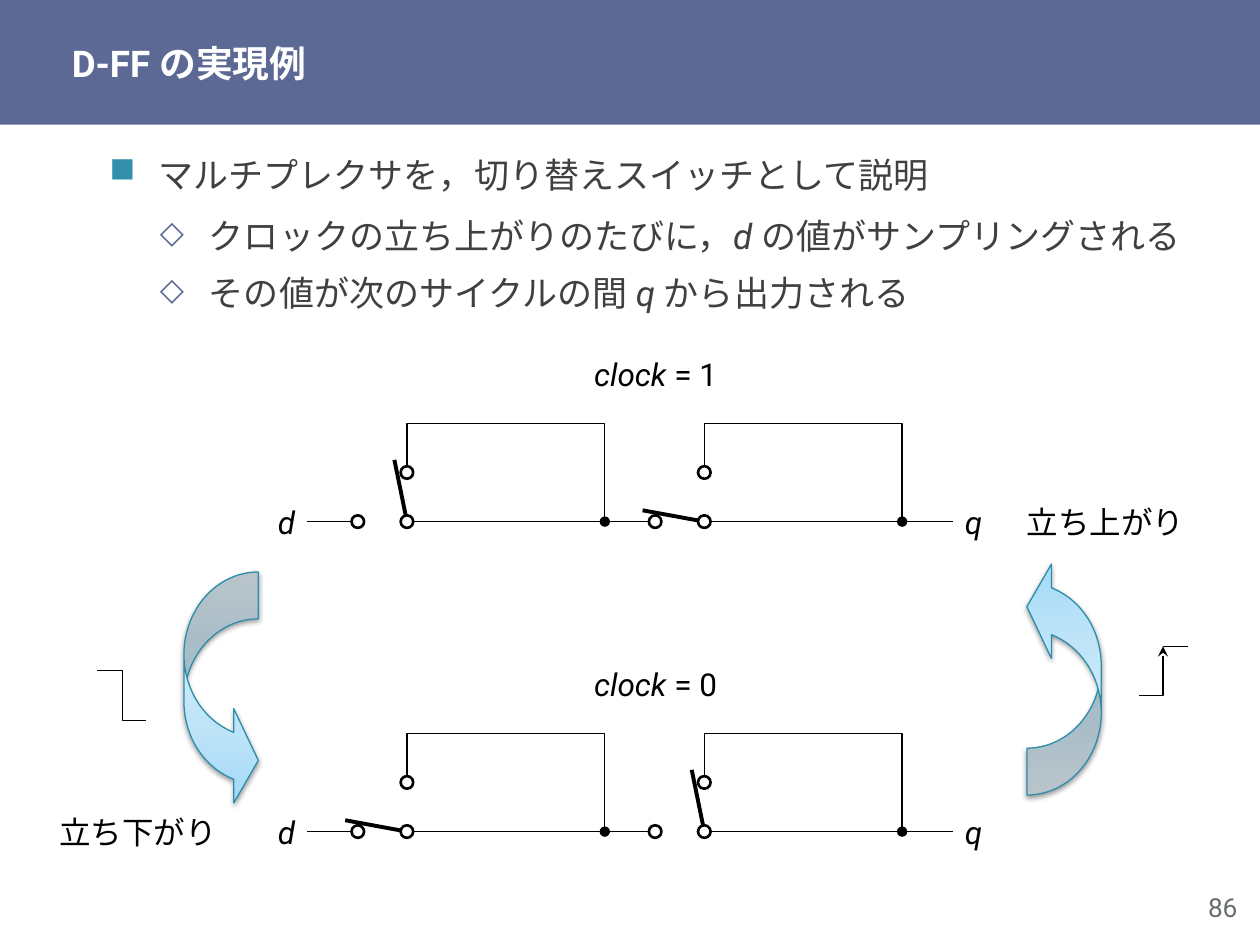
"""Build the slide on a D flip-flop drawn with changeover switches."""
from dataclasses import dataclass

from lxml import etree
from pptx import Presentation
from pptx.dml.color import RGBColor
from pptx.enum.lang import MSO_LANGUAGE_ID as Language
from pptx.enum.shapes import MSO_CONNECTOR as Connector, MSO_SHAPE as Shape
from pptx.enum.text import MSO_ANCHOR as Anchor, MSO_AUTO_SIZE as AutoSize, PP_ALIGN as Align
from pptx.oxml import parse_xml
from pptx.oxml.ns import nsdecls, qn
from pptx.util import Inches, Pt


@dataclass(frozen=True)
class Theme:
    font: str = "Roboto"
    header: str = "5C6994"
    white: str = "FFFFFF"
    black: str = "000000"
    body: str = "404040"
    number: str = "686D6D"
    square: str = "328FAC"
    arrow_line: str = "2E8DAB"
    arrow_stops: tuple = ((0, "A2D9F7"), (35, "BFE4F8"), (100, "E6F5FD"))
    title_size: float = 21
    body_size: float = 20
    label_size: float = 18
    number_size: float = 15
    thin: float = 0.75
    ring: float = 1.5
    lever: float = 2.25


theme = Theme()


def write(shape, paragraphs, size=theme.label_size, color=theme.black,
          align=Align.LEFT, bold=False, wrap=False):
    frame = shape.text_frame
    settings = {"word_wrap": wrap, "auto_size": AutoSize.NONE, "vertical_anchor": Anchor.MIDDLE}
    for name, value in settings.items():
        setattr(frame, name, value)
    for index, runs in enumerate(paragraphs):
        paragraph = frame.add_paragraph() if index else frame.paragraphs[0]
        paragraph.alignment = align
        for text, italic in runs:
            run = paragraph.add_run()
            run.text = text
            font_format = {"name": theme.font, "size": Pt(size), "bold": bold,
                           "italic": italic, "language_id": Language.JAPANESE}
            for name, value in font_format.items():
                setattr(run.font, name, value)
            run.font.color.rgb = RGBColor.from_string(color)


def draw_wire(shapes, points, width=theme.thin, end=None):
    points = [(Inches(x), Inches(y)) for x, y in points]
    if len(points) == 2:
        wire = shapes.add_connector(Connector.STRAIGHT, *points[0], *points[1])
        etree.SubElement(wire._element.spPr, qn("a:effectLst"))
    else:
        builder = shapes.build_freeform(*points[0])
        builder.add_line_segments(points[1:], close=False)
        wire = builder.convert_to_shape()
        wire.shadow.inherit = False
        wire.fill.background()
    wire.line.color.rgb = RGBColor.from_string(theme.black)
    wire.line.width = Pt(width)
    if end:
        tag, kind = end
        etree.SubElement(wire.line._get_or_add_ln(), qn(tag), type=kind)


presentation = Presentation()
presentation.slide_width, presentation.slide_height = Inches(10), Inches(7.5)
slide = presentation.slides.add_slide(presentation.slide_layouts[5])

header = slide.shapes.add_shape(Shape.RECTANGLE, 0, 0, Inches(10), Inches(0.99))
header.shadow.inherit = False
header.fill.solid()
header.fill.fore_color.rgb = RGBColor.from_string(theme.header)
header.line.fill.background()
slide.shapes._spTree.insert(2, header._element)

title = slide.shapes.title
place = {"left": 0.47, "top": 0, "width": 9.53, "height": 0.99}
for name, value in place.items():
    setattr(title, name, Inches(value))
write(title, [[("D-FF の実現例", False)]], theme.title_size, theme.white, bold=True, wrap=True)

body = slide.shapes.add_textbox(Inches(0.77), Inches(1.49), Inches(9.06), Inches(0.69))
write(body, [
    [("マルチプレクサを，切り替えスイッチとして説明", False)],
    [("クロックの立ち上がりのたびに，", False), ("d", True), (" の値がサンプリングされる", False)],
    [("その値が次のサイクルの間 ", False), ("q", True), (" から出力される", False)],
], theme.body_size, theme.body, wrap=True)
square = (0, 0.39, 0, 6, theme.square, 100, "■")
diamond = (1, 0.79, 3, 3, theme.header, 90, "◇")
for paragraph, bullet in zip(body.text_frame.paragraphs, (square, diamond, diamond)):
    level, margin, before, after, color, percent, mark = bullet
    spacing = {"level": level, "line_spacing": 1.1, "space_before": Pt(before), "space_after": Pt(after)}
    for name, value in spacing.items():
        setattr(paragraph, name, value)
    properties = paragraph._p.get_or_add_pPr()
    properties.set("marL", str(Inches(margin)))
    properties.set("indent", str(Inches(-0.39)))
    bullet_color = etree.SubElement(properties, qn("a:buClr"))
    etree.SubElement(bullet_color, qn("a:srgbClr"), val=color)
    etree.SubElement(properties, qn("a:buSzPct"), val=str(percent * 1000))
    etree.SubElement(properties, qn("a:buChar"), char=mark)

lever_up, lever_side = (-0.1, -0.49), (-0.49, -0.09)
circuits = (
    (6.6, " = 0", (lever_side, lever_up)),
    (4.14, " = 1", (lever_up, lever_side)),
)
for base, clock_value, levers in circuits:
    circuit = slide.shapes.add_group_shape().shapes
    draw_wire(circuit, [(2.44, base), (2.84, base)])
    for pivot, (lever_x, lever_y) in zip((3.23, 5.59), levers):
        node = pivot + 1.57
        draw_wire(circuit, [(pivot, base), (node, base), (node, base - 0.78),
                            (pivot, base - 0.78), (pivot, base - 0.39)])
        draw_wire(circuit, [(node, base), (node + 0.4, base)], end=("a:headEnd", "oval"))
        for x, y in ((pivot, base - 0.39), (pivot - 0.39, base), (pivot, base)):
            if (x, y) == (pivot, base):
                draw_wire(circuit, [(pivot, base), (pivot + lever_x, base + lever_y)], theme.lever)
            contact = circuit.add_shape(Shape.OVAL, Inches(x - 0.05), Inches(y - 0.05),
                                        Inches(0.1), Inches(0.1))
            contact.shadow.inherit = False
            contact.fill.solid()
            contact.fill.fore_color.rgb = RGBColor.from_string(theme.white)
            contact.line.color.rgb = RGBColor.from_string(theme.black)
            contact.line.width = Pt(theme.ring)
    labels = (
        (2.05, base - 0.19, 0.39, [("d", True)], Align.RIGHT),
        (7.56, base - 0.19, 0.39, [("q", True)], Align.LEFT),
        (4.61, base - 1.37, 1.18, [("clock", True), (clock_value, False)], Align.RIGHT),
    )
    for left, top, width, runs, align in labels:
        label = circuit.add_textbox(Inches(left), Inches(top), Inches(width), Inches(0.39))
        write(label, [runs], align=align)

rising_edge = slide.shapes.add_group_shape().shapes
draw_wire(rising_edge, [(9.04, 5.52), (9.23, 5.52), (9.23, 5.13)], end=("a:tailEnd", "stealth"))
draw_wire(rising_edge, [(9.23, 5.13), (9.43, 5.13)])
draw_wire(slide.shapes, [(0.77, 5.32), (0.97, 5.32), (0.97, 5.72), (1.16, 5.72)])

stops = "".join(f'<a:gs pos="{position * 1000}"><a:srgbClr val="{color}"/></a:gs>'
                for position, color in theme.arrow_stops)
for left, top, rotation in ((1.46, 4.54, 0), (8.15, 4.44, 180)):
    arrow = slide.shapes.add_shape(Shape.CURVED_RIGHT_ARROW, Inches(left), Inches(top),
                                   Inches(0.59), Inches(1.87))
    arrow.rotation = rotation
    for index, value in enumerate((0.63, 1.27, 0.33)):
        arrow.adjustments[index] = value
    arrow.line.color.rgb = RGBColor.from_string(theme.arrow_line)
    arrow.line.width = Pt(theme.thin)
    arrow.shadow.inherit = False
    properties = arrow._element.spPr
    properties.insert(2, parse_xml(
        f'<a:gradFill {nsdecls("a")} rotWithShape="1"><a:gsLst>{stops}</a:gsLst>'
        '<a:lin ang="16200000" scaled="0"/></a:gradFill>'))
    properties.find(qn("a:effectLst")).append(parse_xml(
        f'<a:outerShdw {nsdecls("a")} blurRad="{Pt(3.1)}" dist="{Pt(1.6)}" dir="5400000" '
        f'rotWithShape="0"><a:srgbClr val="{theme.black}"><a:alpha val="38000"/>'
        '</a:srgbClr></a:outerShdw>'))

number = slide.shapes.add_textbox(Inches(9.53), Inches(7), Inches(0.39), Inches(0.39))
write(number, [[("86", False)]], theme.number_size, theme.number, Align.RIGHT)
for left, top, text in ((8.05, 3.95, "立ち上がり"), (0.37, 6.41, "立ち下がり")):
    label = slide.shapes.add_textbox(Inches(left), Inches(top), Inches(1.18), Inches(0.39))
    write(label, [[(text, False)]])

presentation.save("out.pptx")
